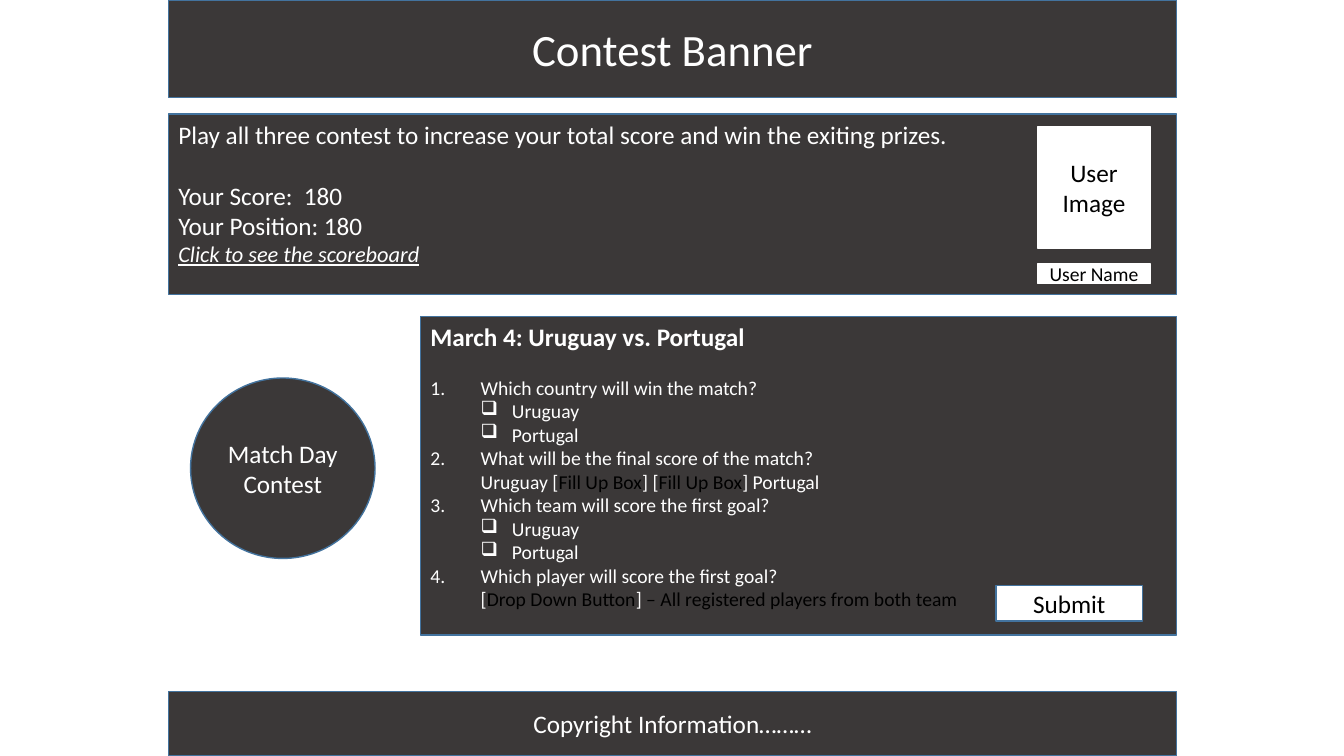
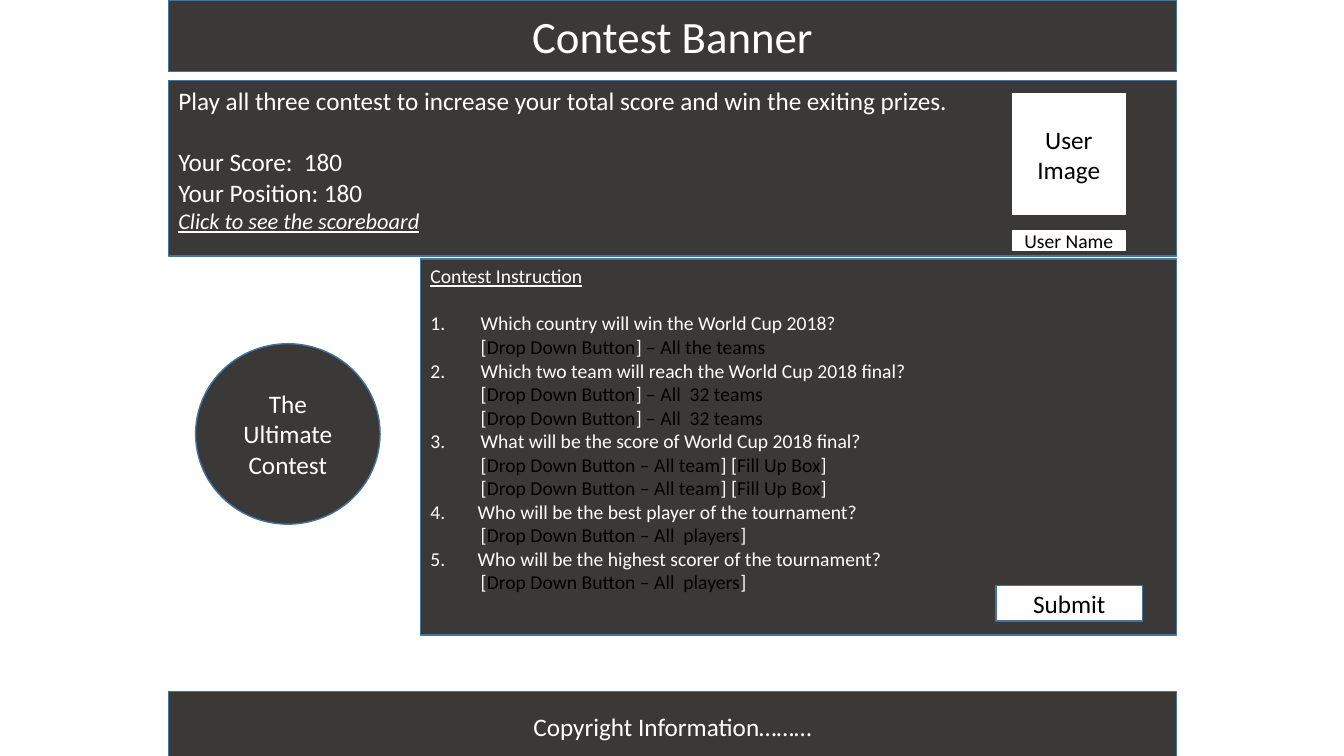
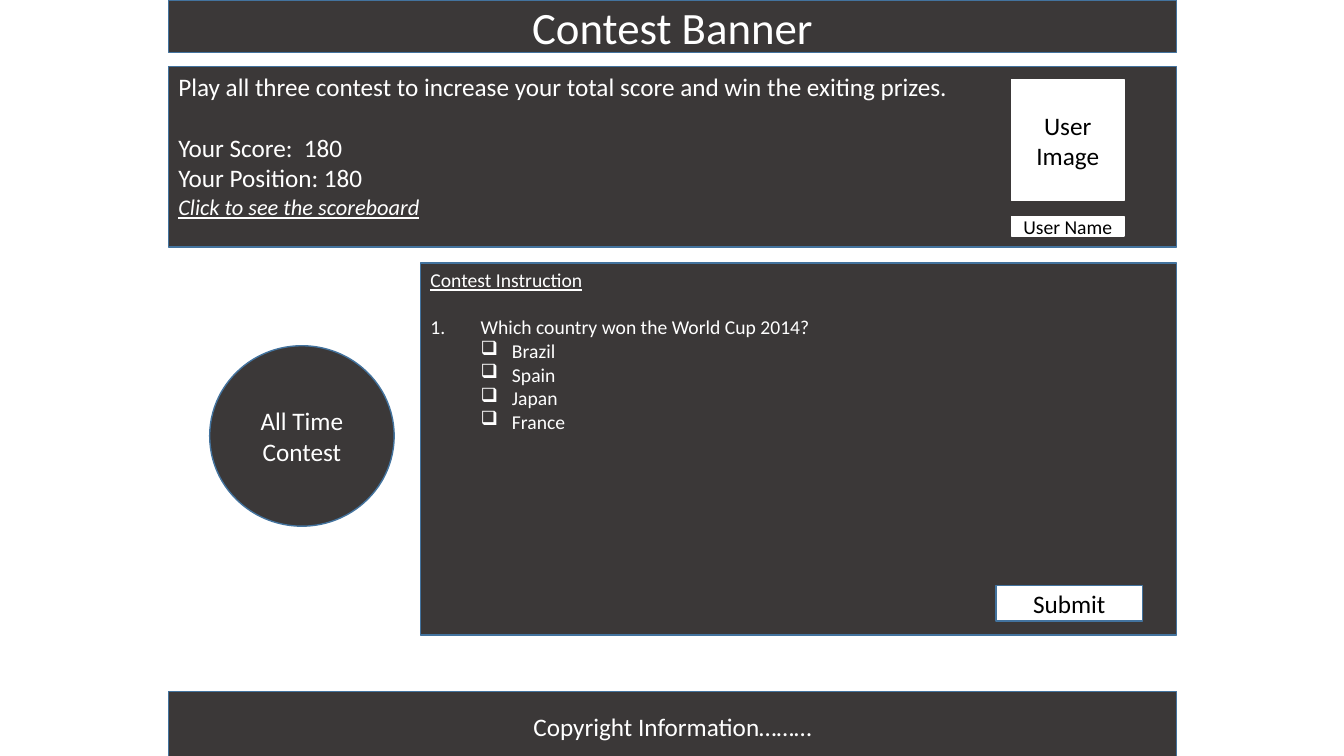
"""Build three contest page wireframes."""
import lxml.etree
import pptx
import pptx.dml.color
import pptx.enum.shapes
import pptx.enum.text
import pptx.oxml.ns
import pptx.util

Inches, Pt = pptx.util.Inches, pptx.util.Pt
KIND = pptx.enum.shapes.MSO_SHAPE
ALIGN = pptx.enum.text.PP_ALIGN
ANCHOR = pptx.enum.text.MSO_ANCHOR

DARK, EDGE, WHITE, BLACK = "3B3838", "43739E", "FFFFFF", "000000"
LEFT, WIDE, SPLIT, BASE = 1.67, 10, 4.17, 6.3

SCORE = [
    ("lead", "Play all three contest to increase your total score and win the exiting prizes."),
    ("next", "Your Score:  180"),
    ("lead", "Your Position: 180"),
    ("link", "Click to see the scoreboard"),
]

PAGES = [
    {
        "banner": 0.97, "score": (1.13, 1.79), "user": 10.29, "foot": 0.64,
        "disc": (1.89, 3.75), "name": "Match Day Contest", "panel": 3.14,
        "lines": [
            ("head", "March 4: Uruguay vs. Portugal"),
            ("first", "Which country will win the match?"),
            ("box", "Uruguay"),
            ("box", "Portugal"),
            ("ask", "What will be the final score of the match?"),
            ("fill", "Uruguay [|Fill Up Box|] [|Fill Up Box|] Portugal"),
            ("ask", "Which team will score the first goal?"),
            ("box", "Uruguay"),
            ("box", "Portugal"),
            ("ask", "Which player will score the first goal?"),
            ("fill", "[|Drop Down Button|] |– All registered players from both team"),
        ],
    },
    {
        "banner": 0.71, "score": (0.8, 1.74), "user": 10.04, "foot": 0.69,
        "disc": (1.94, 3.41), "name": "The Ultimate Contest", "panel": 2.57,
        "lines": [
            ("intro", "Contest Instruction"),
            ("first", "Which country will win the World Cup 2018?"),
            ("fill", "[|Drop Down Button|] |– All the teams"),
            ("ask", "Which two team will reach the World Cup 2018 final?"),
            ("fill", "[|Drop Down Button|] |– All  32 teams"),
            ("fill", "[|Drop Down Button|] |– All  32 teams"),
            ("ask", "What will be the score of World Cup 2018 final?"),
            ("fill", "[|Drop Down Button – All team|] [|Fill Up Box|]"),
            ("fill", "[|Drop Down Button – All team|] [|Fill Up Box|]"),
            ("near", "Who will be the best player of the tournament?"),
            ("fill", "[|Drop Down Button – All  players|]"),
            ("near", "Who will be the highest scorer of the tournament?"),
            ("fill", "[|Drop Down Button – All  players|]"),
        ],
    },
    {
        "banner": 0.52, "score": (0.66, 1.79), "user": 10.03, "foot": 0.69,
        "disc": (2.08, 3.43), "name": "All Time Contest", "panel": 2.61,
        "lines": [
            ("intro", "Contest Instruction"),
            ("first", "Which country won the World Cup 2014?"),
            ("box", "Brazil"),
            ("box", "Spain"),
            ("box", "Japan"),
            ("box", "France"),
        ],
    },
]

SMALL = {"size": Pt(14)}
LARGE = {"size": Pt(18)}
MID = {"alignment": ALIGN.CENTER}
STYLES = {
    "title": {"font": {"size": Pt(32)}, "para": MID},
    "label": {"font": LARGE, "para": MID},
    "tag": {"font": SMALL, "para": MID},
    "lead": {"font": LARGE},
    "next": {"font": LARGE, "para": {"space_before": Pt(22)}},
    "link": {"font": {"size": Pt(16), "italic": True, "underline": True}},
    "head": {"font": {"size": Pt(18), "bold": True}},
    "intro": {"font": {"size": Pt(14), "underline": True}},
    "first": {"font": SMALL, "para": {"space_before": Pt(17)}, "hang": (0.5, -0.5), "mark": "num"},
    "ask": {"font": SMALL, "hang": (0.5, -0.5), "mark": "num"},
    "near": {"font": SMALL, "hang": (0.47, -0.47), "mark": "num"},
    "box": {"font": SMALL, "para": {"level": 1}, "hang": (0.81, -0.31), "mark": "❑"},
    "fill": {"font": SMALL, "para": {"level": 1}, "hang": (0.5, 0)},
}


def color(code):
    """Turn a hex string into a colour."""
    return pptx.dml.color.RGBColor.from_string(code)


def apply(item, values):
    """Set each named value on an object."""
    for key, value in values.items():
        setattr(item, key, value)


def indent(para, style, count):
    """Give a paragraph its hanging indent and its bullet or number."""
    props = para._p.get_or_add_pPr()
    for key, size in zip(("marL", "indent"), style.get("hang", (0, 0))):
        props.set(key, str(Inches(size)))
    mark = style.get("mark")
    if mark == "num":
        tag, values = "a:buAutoNum", {"type": "arabicPeriod", "startAt": str(count)}
    elif mark:
        tag, values = "a:buChar", {"char": mark}
    else:
        tag, values = "a:buNone", {}
    lxml.etree.SubElement(props, pptx.oxml.ns.qn(tag), values)


def write(frame, lines, inks):
    """Write styled lines, switching ink at each bar."""
    count = 0
    for row, (kind, text) in enumerate(lines):
        style = STYLES[kind]
        para = frame.add_paragraph() if row else frame.paragraphs[0]
        apply(para, {"alignment": ALIGN.LEFT, **style.get("para", {})})
        count += style.get("mark") == "num"
        indent(para, style, count)
        for turn, part in enumerate(text.split("|")):
            run = para.add_run()
            run.text = part
            apply(run.font, {"name": "Calibri", **style["font"]})
            run.font.color.rgb = color(inks[turn % 2])


def block(slide, area, lines, paint=DARK, edge=EDGE, kind=KIND.RECTANGLE, anchor=ANCHOR.MIDDLE):
    """Draw one filled shape with its text."""
    shape = slide.shapes.add_shape(kind, *map(Inches, area))
    shape.shadow.inherit = False
    shape.fill.solid()
    shape.fill.fore_color.rgb = color(paint)
    shape.line.color.rgb = color(edge)
    shape.line.width = Pt(1)
    apply(shape.text_frame, {"word_wrap": True, "vertical_anchor": anchor})
    write(shape.text_frame, lines, (WHITE, BLACK) if paint == DARK else (BLACK, WHITE))


def build(slide, page):
    """Lay out one contest page."""
    top, high = page["score"]
    user, panel = page["user"], page["panel"]
    block(slide, (LEFT, top, WIDE, high), SCORE, anchor=ANCHOR.TOP)
    block(slide, (*page["disc"], 1.83, 1.79), [("label", page["name"])], kind=KIND.OVAL)
    block(slide, (LEFT, 6.86, WIDE, page["foot"]), [("label", "Copyright Information………")])
    block(slide, (LEFT, 0, WIDE, page["banner"]), [("title", "Contest Banner")])
    block(slide, (SPLIT, panel, LEFT + WIDE - SPLIT, BASE - panel), page["lines"], anchor=ANCHOR.TOP)
    block(slide, (user, top + 0.13, 1.12, 1.2), [("label", "User Image")], WHITE, WHITE)
    block(slide, (user, top + 1.49, 1.12, 0.19), [("tag", "User Name")], WHITE, WHITE)
    block(slide, (9.88, 5.81, 1.45, 0.35), [("label", "Submit")], WHITE)


def main():
    """Build and save the deck."""
    deck = pptx.Presentation()
    apply(deck, {"slide_width": Inches(13.33), "slide_height": Inches(7.5)})
    for page in PAGES:
        build(deck.slides.add_slide(deck.slide_layouts[6]), page)
    deck.save("out.pptx")


if __name__ == "__main__":
    main()
